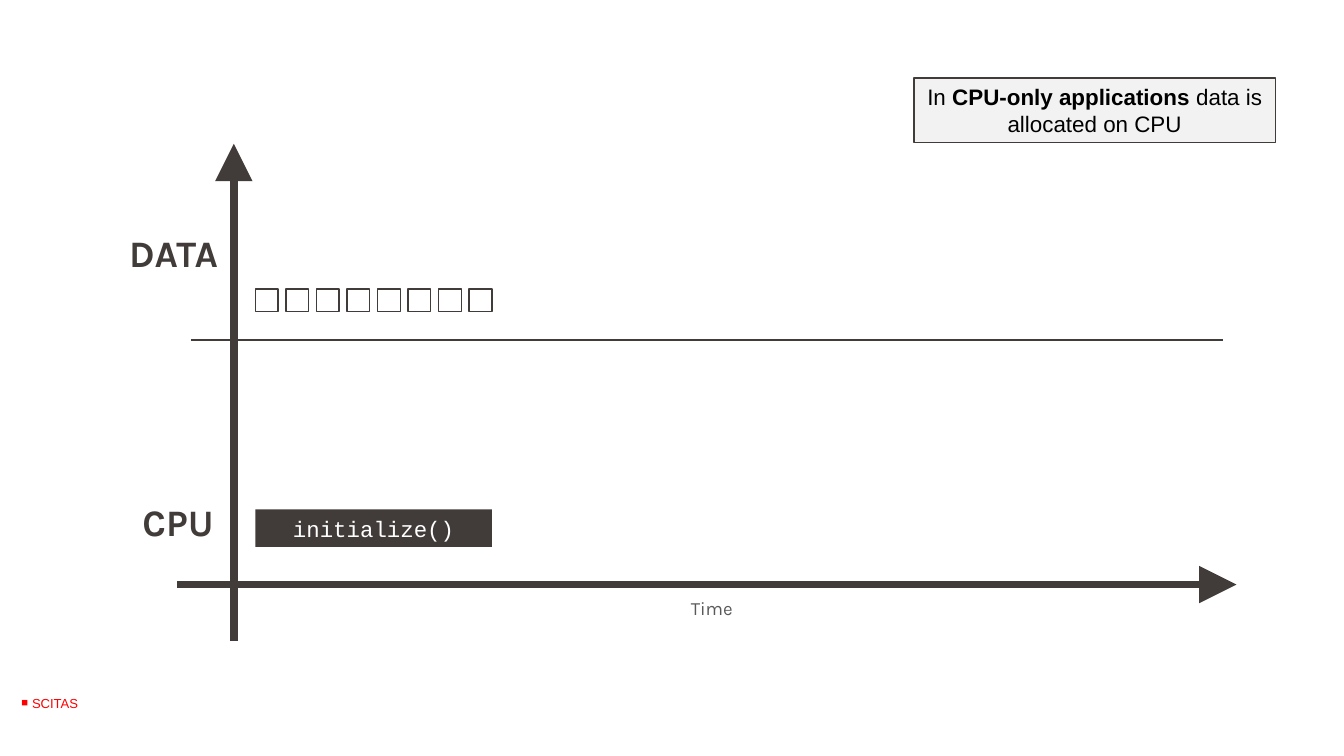
from lxml import etree
from pptx import Presentation
from pptx.dml.color import RGBColor
from pptx.enum.shapes import MSO_CONNECTOR, MSO_SHAPE
from pptx.enum.text import MSO_ANCHOR, PP_ALIGN
from pptx.oxml.ns import qn
from pptx.util import Inches, Pt

RECTANGLE = MSO_SHAPE.RECTANGLE
STRAIGHT = MSO_CONNECTOR.STRAIGHT
TOP, MIDDLE, BOTTOM = MSO_ANCHOR.TOP, MSO_ANCHOR.MIDDLE, MSO_ANCHOR.BOTTOM
LEFT, CENTER = PP_ALIGN.LEFT, PP_ALIGN.CENTER
DARK = "413C3A"


def color(hex_string):
    return RGBColor.from_string(hex_string)


def write(shape, runs, font_name, size, hex_string, anchor, align=LEFT,
          spacing=1.0, insets=(0.08, 0.04)):
    """Fill a shape with one paragraph of (text, bold) runs."""
    frame = shape.text_frame
    frame.word_wrap = True
    frame.vertical_anchor = anchor
    frame.margin_left = frame.margin_right = Inches(insets[0])
    frame.margin_top = frame.margin_bottom = Inches(insets[1])
    paragraph = frame.paragraphs[0]
    paragraph.alignment = align
    paragraph.line_spacing = spacing
    paragraph.font.name = font_name
    paragraph.font.size = Pt(size)
    paragraph.font.color.rgb = color(hex_string)
    for text, bold in runs:
        run = paragraph.add_run()
        run.text = text
        run.font.bold = bold


# Slide in 16:9 format
presentation = Presentation()
presentation.slide_width = Inches(10)
presentation.slide_height = Inches(10) * 9 // 16
slide = presentation.slides.add_slide(presentation.slide_layouts[6])
shapes = slide.shapes

# Footer mark
bullet = shapes.add_textbox(Inches(0.06), Inches(5.07), Inches(0.31), Inches(0.31))
write(bullet, [("■", True)], "Arial", 6, "FF0000", TOP, spacing=0.9, insets=(0.1, 0.1))
bullet.text_frame.margin_top = Inches(0.17)
bullet.text_frame.margin_bottom = Inches(0.03)
footer = shapes.add_textbox(Inches(0.14), Inches(4.92), Inches(0.56), Inches(0.62))
write(footer, [("SCITAS", False)], "Arial", 7, "FF0000", MIDDLE, insets=(0.1, 0.05))

# Data axis, time axis and the divider between the two lanes
for x1, y1, x2, y2, width, has_arrow in [
    (1.74, 4.77, 1.74, 1.07, 4, True),
    (1.32, 4.35, 9.2, 4.35, 4, True),
    (1.42, 2.53, 9.1, 2.53, 1.5, False),
]:
    line = shapes.add_connector(STRAIGHT, Inches(x1), Inches(y1), Inches(x2), Inches(y2))
    line.line.color.rgb = color(DARK)
    line.line.width = Pt(width)
    if has_arrow:
        etree.SubElement(line.line._get_or_add_ln(), qn("a:tailEnd"),
                         type="triangle", w="lg", len="lg")
    etree.SubElement(line._element.spPr, qn("a:effectLst"))

# Axis and lane labels
for text, left, top, width, height, size, hex_string, bold in [
    ("DATA", 0.88, 1.74, 0.89, 0.35, 20, DARK, True),
    ("CPU", 0.98, 3.74, 0.73, 0.35, 20, DARK, True),
    ("Time", 5.06, 4.42, 1.05, 0.23, 10, "595959", False),
]:
    label = shapes.add_textbox(Inches(left), Inches(top), Inches(width), Inches(height))
    write(label, [(text, bold)], "Karla", size, hex_string, BOTTOM, spacing=0.9)

# Array of data cells, evenly spaced over the width of the call below
cell_count, cell_size, array_left, array_width = 8, 0.17, 1.9, 1.76
step = (array_width - cell_size) / (cell_count - 1)
array = shapes.add_group_shape()
for index in range(cell_count):
    cell = array.shapes.add_shape(RECTANGLE, Inches(array_left + index * step),
                                  Inches(2.15), Inches(cell_size), Inches(cell_size))
    cell.shadow.inherit = False
    cell.fill.background()
    cell.line.color.rgb = color(DARK)
    cell.line.width = Pt(0.75)

# Function call on the CPU
call = shapes.add_shape(RECTANGLE, Inches(array_left), Inches(3.79),
                        Inches(array_width), Inches(0.28))
call.shadow.inherit = False
call.fill.solid()
call.fill.fore_color.rgb = color(DARK)
call.line.fill.background()
write(call, [("initialize()", False)], "Courier New", 12, "FFFFFF", MIDDLE, CENTER)

# Remark
remark = shapes.add_shape(RECTANGLE, Inches(6.8), Inches(0.58), Inches(2.69), Inches(0.48))
remark.shadow.inherit = False
remark.fill.solid()
remark.fill.fore_color.rgb = color("F2F2F2")
remark.line.color.rgb = color(DARK)
remark.line.width = Pt(0.75)
write(remark, [("In ", False), ("CPU-only applications ", True),
               ("data is allocated on CPU", False)],
      "Arial", 12, "000000", TOP, CENTER)

presentation.save("out.pptx")
